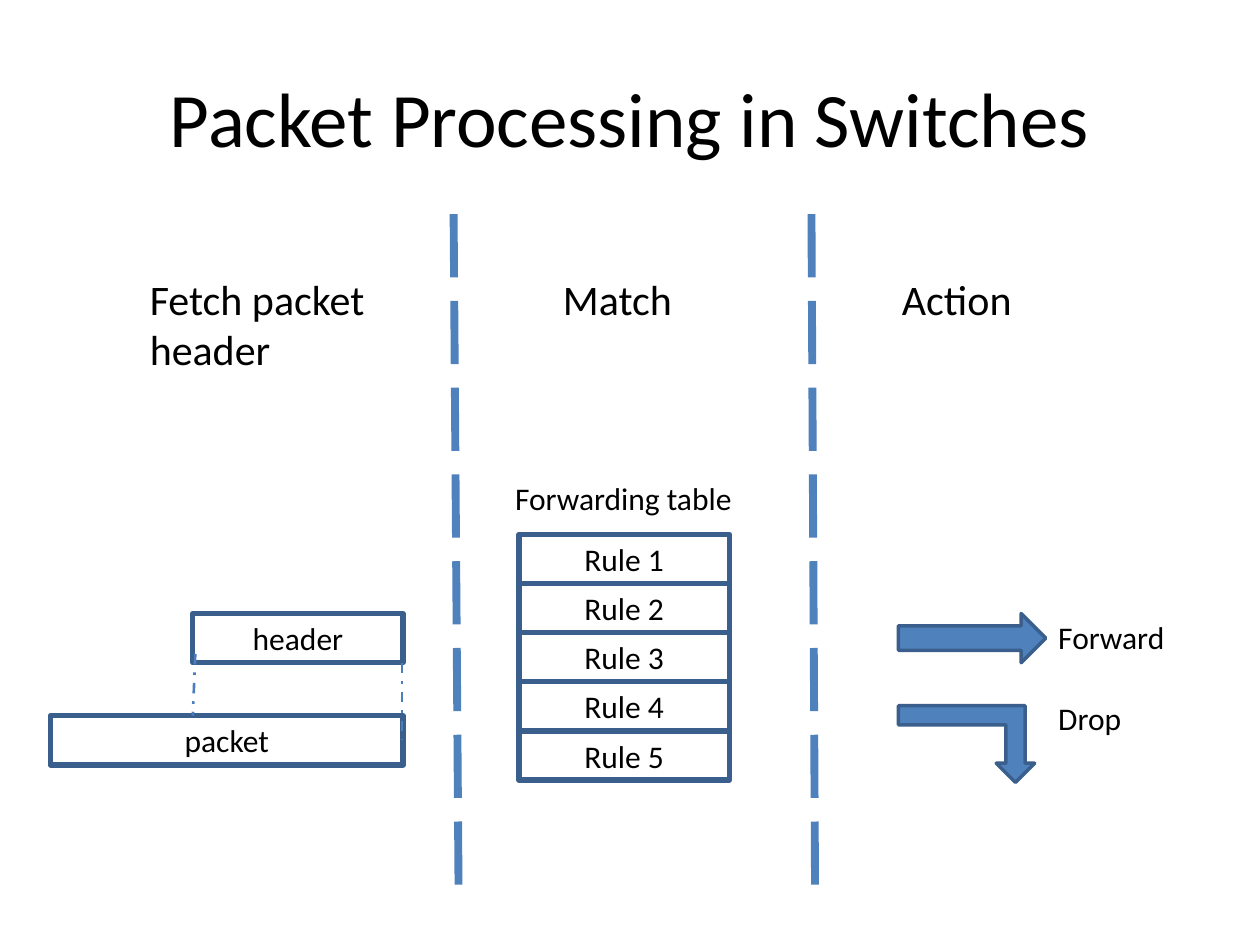
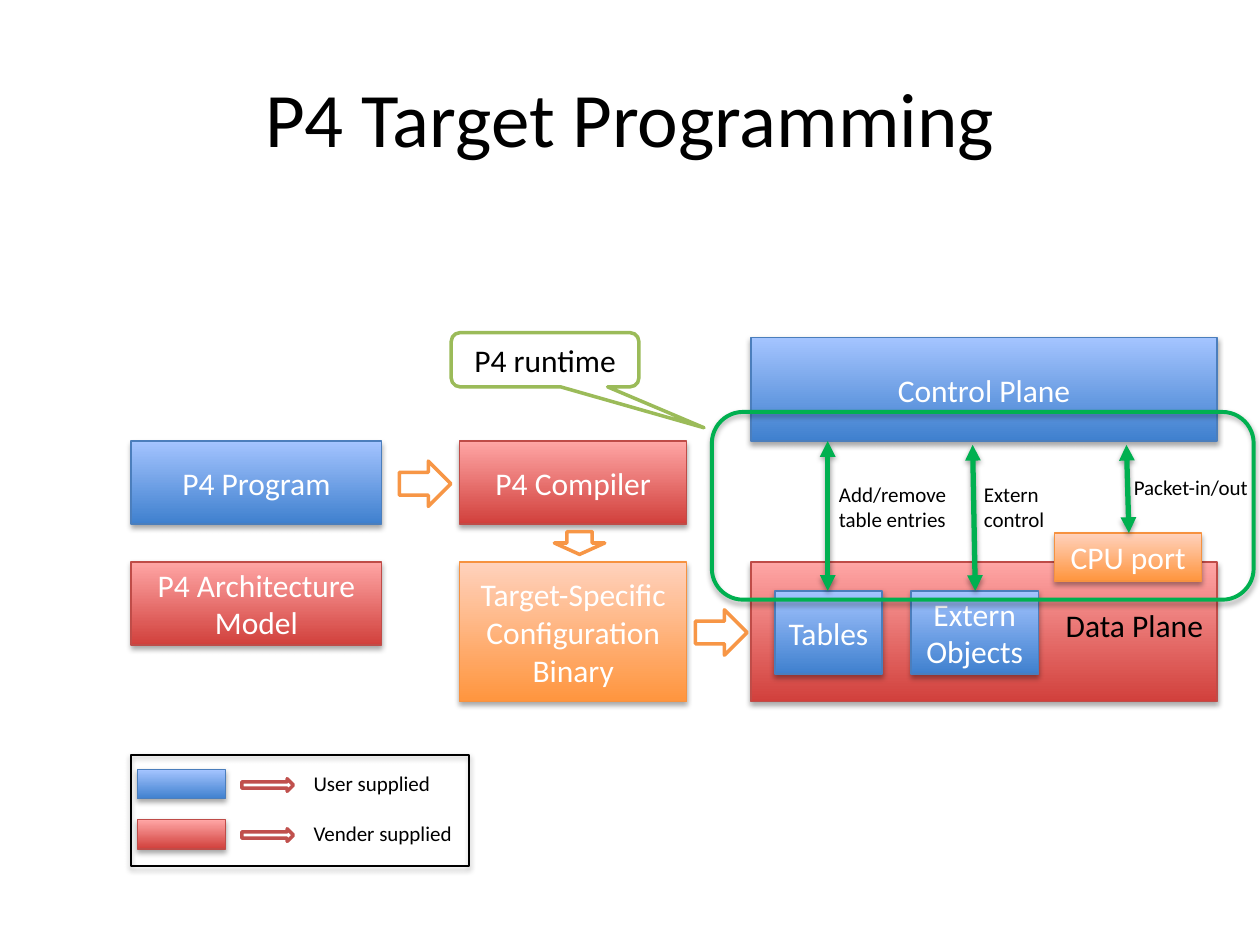
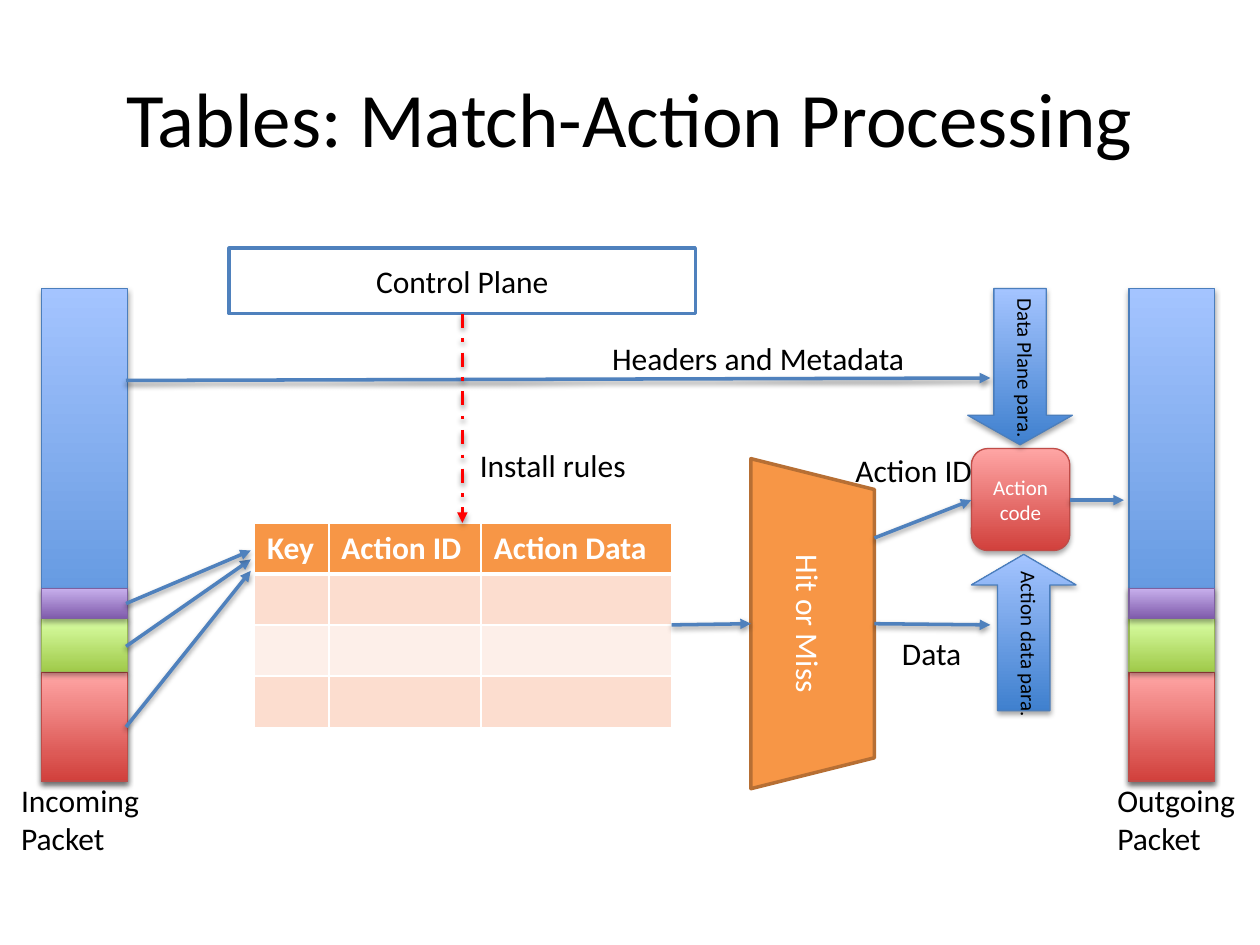
import lxml.etree
import pptx
import pptx.dml.color
import pptx.enum.dml
import pptx.enum.shapes
import pptx.enum.text
import pptx.oxml.ns
import pptx.util

Pt = pptx.util.Pt
qn = pptx.oxml.ns.qn
SHAPE = pptx.enum.shapes.MSO_SHAPE
DASH = pptx.enum.dml.MSO_LINE
ALIGN = pptx.enum.text.PP_ALIGN
ANCHOR = pptx.enum.text.MSO_ANCHOR

FONT = "Calibri"
BLACK, WHITE = "000000", "FFFFFF"
ACCENT, ACCENT_DARK, ACCENT_EDGE = "4F81BD", "3A5F8C", "4B7EBC"
ORANGE, GREEN = "F79646", "00B050"

# Each gloss is the bottom colour, the top colour and the outline.
BLUE_GLOSS = ("3F80CE", "A4C4FF", ACCENT_EDGE)
RED_GLOSS = ("D1403C", "FFA6A5", "BF4C48")
ORANGE_GLOSS = ("FF953E", "FFD2BD", "F69240")
GREEN_GLOSS = ("A0CA4A", "DAFFA5", "98B955")
PURPLE_GLOSS = ("7F5BAB", "C8B0ED", "7D60A0")


def rgb(hex_color):
    return pptx.dml.color.RGBColor.from_string(hex_color)


def sub(parent, tag, **attrs):
    return lxml.etree.SubElement(parent, qn(tag), attrs)


def write(tf, text, size=18, color=BLACK, bold=False, align=ALIGN.LEFT, anchor=ANCHOR.TOP):
    tf.vertical_anchor = anchor
    p = tf.paragraphs[0]
    p.alignment = align
    r = p.add_run()
    r.text = text
    r.font.name = FONT
    r.font.size = Pt(size)
    r.font.bold = bold
    r.font.color.rgb = rgb(color)


def cast_shadow(effects, opacity, distance):
    shadow = sub(effects, "a:outerShdw", blurRad=str(Pt(3.1)), dist=str(Pt(distance)),
                 dir="5400000", rotWithShape="0")
    color = sub(shadow, "a:srgbClr", val=BLACK)
    sub(color, "a:alpha", val=str(opacity * 1000))


def add_title_slide(prs, title):
    slide = prs.slides.add_slide(prs.slide_layouts[5])
    sp = slide.shapes.title
    sp.left, sp.top, sp.width, sp.height = Pt(36), Pt(21.6), Pt(648), Pt(90)
    write(sp.text_frame, title, size=44, align=ALIGN.CENTER, anchor=ANCHOR.MIDDLE)
    return slide


def add_box(slide, at, text="", kind=SHAPE.RECTANGLE, fill=None, line=BLACK, weight=2,
            shadow=False, adjust=(), **text_format):
    sp = slide.shapes.add_shape(kind, *map(Pt, at))
    for i, value in enumerate(adjust):
        sp.adjustments[i] = value
    if fill:
        sp.fill.solid()
        sp.fill.fore_color.rgb = rgb(fill)
    else:
        sp.fill.background()
    sp.line.color.rgb = rgb(line)
    sp.line.width = Pt(weight)
    sp.shadow.inherit = False
    if shadow:
        cast_shadow(sp._element.spPr.find(qn("a:effectLst")), 35, 1.8)
    if text:
        write(sp.text_frame, text, align=ALIGN.CENTER, anchor=ANCHOR.MIDDLE, **text_format)
    return sp


def add_glossy(slide, at, gloss, text="", **options):
    """Add a shape with a vertical gradient, a thin outline and a shadow."""
    bottom, top, edge = gloss
    sp = add_box(slide, at, text, line=edge, weight=0.75, shadow=True, color=WHITE, **options)
    sp.fill.gradient()
    sp.fill.gradient_angle = 90
    for stop, color in zip(sp.fill.gradient_stops, (bottom, top)):
        stop.color.rgb = rgb(color)


def add_label(slide, at, text, wrap=True, vertical=False, **text_format):
    tf = slide.shapes.add_textbox(*map(Pt, at)).text_frame
    tf.word_wrap = wrap
    tf.auto_size = pptx.enum.text.MSO_AUTO_SIZE.SHAPE_TO_FIT_TEXT
    if vertical:
        tf._txBody.bodyPr.set("vert", "eaVert")
    write(tf, text, **text_format)


def add_line(slide, start, end, color=ACCENT, weight=2, dash=None, heads=(), shadow=False):
    """Draw a line; heads names the ends with a triangle: "head", "tail"."""
    ends = map(Pt, (*start, *end))
    cx = slide.shapes.add_connector(pptx.enum.shapes.MSO_CONNECTOR.STRAIGHT, *ends)
    cx.line.color.rgb = rgb(color)
    cx.line.width = Pt(weight)
    if dash:
        cx.line.dash_style = dash
    for head in heads:
        sub(cx.line._get_or_add_ln(), f"a:{head}End", type="triangle")
    effects = sub(cx._element.spPr, "a:effectLst")
    if shadow:
        cast_shadow(effects, 38, 1.6)


def add_arrow(slide, start, end, heads=("tail",), **options):
    add_line(slide, start, end, heads=heads, shadow=True, **options)


def set_borders(cell, bottom):
    tcPr = cell._tc.get_or_add_tcPr()
    for i, (side, weight) in enumerate(zip("LRTB", (1, 1, 1, bottom))):
        ln = lxml.etree.Element(qn(f"a:ln{side}"), w=str(Pt(weight)))
        sub(sub(ln, "a:solidFill"), "a:srgbClr", val=WHITE)
        tcPr.insert(i, ln)


def add_rule_table(slide, left, top, widths, row_height, headings):
    row_fills = (ORANGE, "FCDDCF", "FDEFE9", "FCDDCF")
    frame = slide.shapes.add_table(len(row_fills), len(widths), Pt(left), Pt(top),
                                   Pt(sum(widths)), Pt(row_height * len(row_fills)))
    table = frame.table
    for column, width in zip(table.columns, widths):
        column.width = Pt(width)
    for i, fill in enumerate(row_fills):
        for cell in table.rows[i].cells:
            cell.fill.solid()
            cell.fill.fore_color.rgb = rgb(fill)
            set_borders(cell, bottom=1 if i else 3)
    for cell, heading in zip(table.rows[0].cells, headings):
        write(cell.text_frame, heading, color=WHITE, bold=True)


def add_packet(slide, left, label_left, label):
    width = 49
    add_glossy(slide, (left, 164.9, width, 281.5), BLUE_GLOSS)
    for top, height, gloss in ((384.5, 61.9, RED_GLOSS), (353.5, 30.2, GREEN_GLOSS),
                               (336.2, 17.3, PURPLE_GLOSS)):
        add_glossy(slide, (left, top, width, height), gloss)
    add_label(slide, (label_left, 442.8, 97.9, 51.1), label)


def build_switch_slide(prs):
    slide = add_title_slide(prs, "Packet Processing in Switches")
    outline = {"line": ACCENT_DARK, "weight": 3}
    row = 28.1
    add_box(slide, (110.2, 350.6, 120.2, row), "header", **outline)
    add_box(slide, (28.8, 409, 201.6, row), "packet", **outline)
    for i in range(5):
        add_box(slide, (296.6, 305.3 + i * row, 120.2, row), f"Rule {i + 1}", **outline)
    add_label(slide, (287.3, 270, 139.7, 28.8), "Forwarding table")
    for start, end in (((229.7, 378.7), (229.7, 422.6)), ((111.6, 373.7), (110.2, 409))):
        add_line(slide, start, end, color=ACCENT_EDGE, weight=1.5, dash=DASH.DASH_DOT)

    solid = {"fill": ACCENT, "line": ACCENT_DARK}
    add_box(slide, (513.4, 350.6, 84.2, row), kind=SHAPE.RIGHT_ARROW, **solid)
    drop = add_box(slide, (513.4, 403.2, 77.8, 43.9), kind=SHAPE.BENT_UP_ARROW, **solid)
    drop._element.spPr.find(qn("a:xfrm")).set("flipV", "1")
    add_label(slide, (597.6, 349.9, 75.6, 28.8), "Forward", wrap=False)
    add_label(slide, (597.6, 396, 51.1, 28.8), "Drop", wrap=False)

    for left, height, stage in ((78.5, 65.5, "Fetch packet header"), (314.6, 36, "Match"),
                                (508.3, 36, "Action")):
        add_label(slide, (left, 152.6, 167, height), stage, size=24)
    for top_x, bottom_x in ((259.2, 262.1), (463.7, 465.8)):
        add_line(slide, (top_x, 122.4), (bottom_x, 516.2), weight=4.5, dash=DASH.LONG_DASH)


def build_target_slide(prs):
    slide = add_title_slide(prs, "P4 Target Programming")
    for at, gloss, text in (
        ((74.9, 252, 143.3, 47.5), BLUE_GLOSS, "P4 Program"),
        ((74.9, 321.1, 143.3, 47.5), RED_GLOSS, "P4 Architecture Model"),
        ((262.8, 252, 129.6, 47.5), RED_GLOSS, "P4 Compiler"),
        ((262.8, 321.1, 129.6, 79.9), ORANGE_GLOSS, "Target-Specific Configuration Binary"),
        ((429.1, 321.1, 266.4, 79.9), RED_GLOSS, ""),
        ((442.8, 337.7, 61.2, 47.5), BLUE_GLOSS, "Tables"),
        ((520.6, 337.7, 72.7, 47.5), BLUE_GLOSS, "Extern Objects"),
        ((602.6, 304.6, 84.2, 27.4), ORANGE_GLOSS, "CPU port"),
        ((429.1, 193, 266.4, 59), BLUE_GLOSS, "Control Plane"),
    ):
        add_glossy(slide, at, gloss, text)
    add_label(slide, (601.9, 342.7, 93.6, 28.8), "Data Plane", wrap=False)

    for start, end in (((473, 337.7), (473, 252)), ((557.3, 337.7), (555.8, 254.2)),
                       ((645.1, 304.6), (643.7, 254.2))):
        add_arrow(slide, start, end, color=GREEN, weight=3, heads=("head", "tail"))
    for at, text in (((472.3, 271.4, 82.8, 36), "Add/remove table entries"),
                     ((555.1, 271.4, 51.1, 36), "Extern control"),
                     ((640.8, 267.8, 82.8, 21.6), "Packet-in/out")):
        add_label(slide, at, text, size=12)

    for i, (gloss, text) in enumerate(((BLUE_GLOSS, "User supplied"),
                                       (RED_GLOSS, "Vender supplied"))):
        dy = i * 28.6
        add_glossy(slide, (78.5, 439.9 + dy, 50.4, 16.6), gloss)
        add_box(slide, (138.2, 445 + dy, 29.5, 7.2), kind=SHAPE.RIGHT_ARROW,
                fill=WHITE, line="C0504D")
        add_label(slide, (172.1, 437 + dy, 134.6, 21.6), text, size=12)
    add_box(slide, (74.9, 431.3, 193, 63.4), weight=1, shadow=True)

    for at, kind in (((228.2, 263.5, 29.5, 25.9), SHAPE.RIGHT_ARROW),
                     ((316.8, 303.8, 28.8, 13), SHAPE.DOWN_ARROW),
                     ((397.4, 348.5, 29.5, 25.9), SHAPE.RIGHT_ARROW)):
        add_box(slide, at, kind=kind, fill=WHITE, line=ORANGE)
    add_box(slide, (406.8, 235.4, 309.6, 107.3), kind=SHAPE.ROUNDED_RECTANGLE,
            line=GREEN, weight=2.25, shadow=True)
    add_box(slide, (257.8, 190.1, 107.3, 31), "P4 runtime", fill=WHITE, line="9BBB59",
            kind=SHAPE.ROUNDED_RECTANGULAR_CALLOUT, adjust=(0.847, 1.254, 0.167))


def build_match_action_slide(prs):
    slide = add_title_slide(prs, "Tables: Match-Action Processing")
    add_packet(slide, 23.8, 5, "Incoming Packet")
    add_packet(slide, 645.1, 631.4, "Outgoing Packet")
    add_rule_table(slide, 145.4, 298.8, (42.5, 87.1, 108.7), 29.2,
                   ("Key", "Action ID", "Action Data"))
    selector = add_box(slide, (370.1, 321.1, 188.6, 70.6), "Hit or Miss", kind=SHAPE.TRAPEZOID,
                       fill=ORANGE, line="B76F34", color=WHITE)
    selector.rotation = 90
    add_glossy(slide, (555.1, 256.3, 56.2, 58.3), RED_GLOSS, "Action code",
               kind=SHAPE.ROUNDED_RECTANGLE, size=12)
    add_glossy(slide, (553, 164.9, 59.8, 89.3), BLUE_GLOSS,
               kind=SHAPE.DOWN_ARROW, adjust=(0.5, 0.282))
    add_glossy(slide, (555.1, 316.8, 59.8, 89.3), BLUE_GLOSS,
               kind=SHAPE.UP_ARROW, adjust=(0.5, 0.292))
    for at, text in (((570.2, 319.7, 28.8, 91.4), "Action data para."),
                     ((568.1, 163.4, 28.8, 87.8), "Data Plane para.")):
        add_label(slide, at, text, wrap=False, vertical=True, size=12)

    for start, end in (
        ((72, 415.4), (143.3, 326.2)),
        ((72, 369.4), (143.3, 319.7)),
        ((72, 344.9), (143.3, 314.6)),
        ((383.8, 357.1), (429.1, 356.4)),
        ((499.7, 307.4), (555.1, 285.8)),
        ((499.7, 356.4), (565.9, 357.1)),
        ((72, 217.4), (565.9, 216)),
        ((611.3, 285.8), (642.2, 285.8)),
    ):
        add_arrow(slide, start, end)
    add_box(slide, (131, 141.8, 266.4, 37.4), "Control Plane", fill=WHITE, line=ACCENT)
    add_arrow(slide, (264.2, 179.3), (264.2, 298.8), color="FF0000", dash=DASH.DASH_DOT)
    for left, top, width, text in ((267.1, 251.3, 98.6, "Install rules"),
                                   (342.7, 190.1, 183.6, "Headers and Metadata"),
                                   (481.7, 254.2, 82.1, "Action ID"),
                                   (508.3, 358.6, 49, "Data")):
        add_label(slide, (left, top, width, 28.8), text, wrap=False)


def main():
    prs = pptx.Presentation()
    prs.slide_width, prs.slide_height = Pt(720), Pt(540)
    build_switch_slide(prs)
    build_target_slide(prs)
    build_match_action_slide(prs)
    prs.save("out.pptx")


if __name__ == "__main__":
    main()
